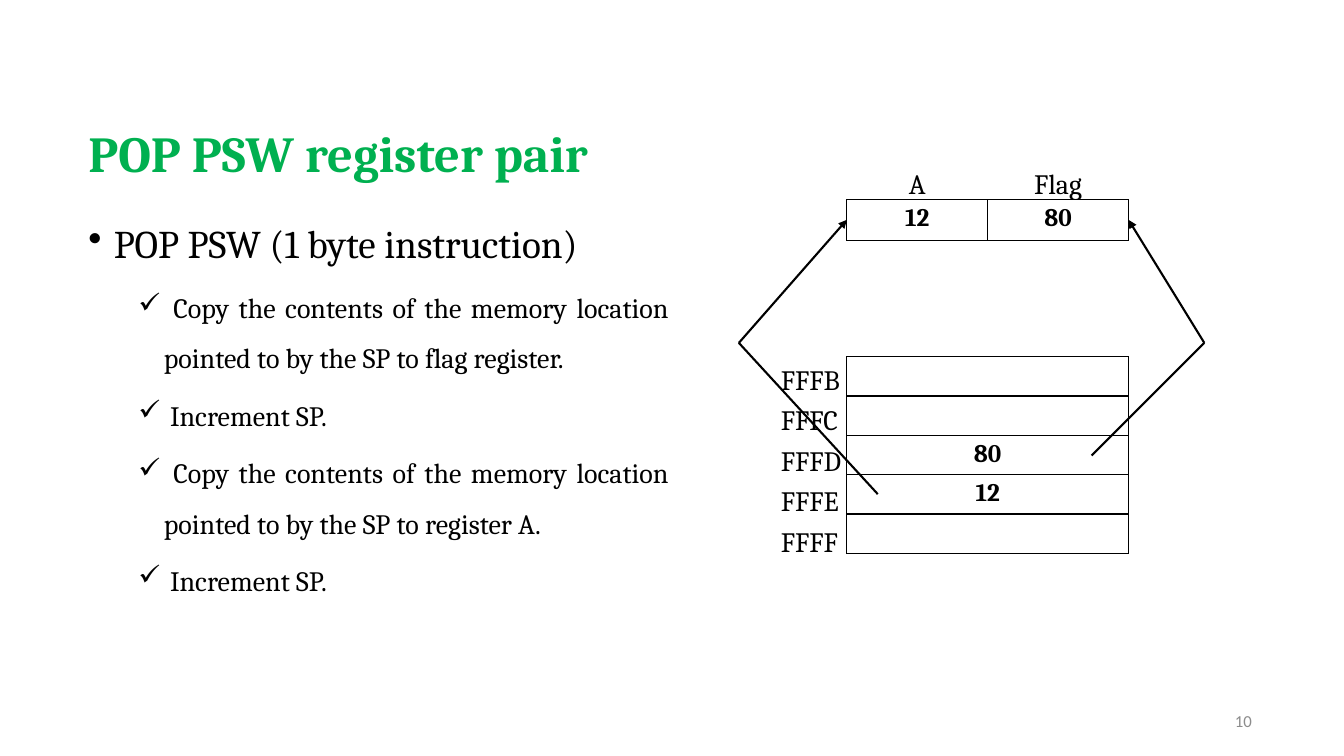
from pptx import Presentation
from pptx.dml.color import RGBColor
from pptx.enum.shapes import MSO_CONNECTOR
from pptx.enum.text import MSO_ANCHOR, PP_ALIGN
from pptx.oxml.ns import qn
from pptx.util import Cm, Pt
from lxml import etree

BLACK = RGBColor(0x00, 0x00, 0x00)
WHITE = RGBColor(0xFF, 0xFF, 0xFF)
GREEN = RGBColor(0x00, 0xB0, 0x50)
GRAY = RGBColor(0x8C, 0x8C, 0x8C)
LEFT, CENTER, RIGHT = PP_ALIGN.LEFT, PP_ALIGN.CENTER, PP_ALIGN.RIGHT
JUSTIFY = PP_ALIGN.JUSTIFY
MIDDLE = MSO_ANCHOR.MIDDLE
STRAIGHT = MSO_CONNECTOR.STRAIGHT

TITLE = "POP PSW register pair"
TOPIC = "POP PSW (1 byte instruction)"
STEPS = [
    " Copy the contents of the memory location pointed to by the SP to flag register.",
    " Increment SP.",
    " Copy the contents of the memory location pointed to by the SP to register A.",
    " Increment SP.",
]
MEMORY = {"FFFB": "", "FFFC": "", "FFFD": "80", "FFFE": "12", "FFFF": ""}
REGS = {"A": "12", "Flag": "80"}


def style(para, size, color=BLACK, bold=False, face="Cambria"):
    font = para.font
    font.name, font.size, font.bold = face, Pt(size), bold
    font.color.rgb = color


def bullet(para, char, margin):
    props = para._p.get_or_add_pPr()
    props.set("marL", str(Cm(margin)))
    props.set("indent", str(-Cm(0.64)))
    mark = etree.Element(qn("a:buChar"), char=char)
    first = props.find(qn("a:defRPr"))
    first.addprevious(mark)


def label(slide, text, x, y, w, h, align):
    """One line of text, centred in the height of its box."""
    frame = slide.shapes.add_textbox(Cm(x), Cm(y), Cm(w), Cm(h)).text_frame
    frame.word_wrap = True
    frame.vertical_anchor = MIDDLE
    frame.margin_left = frame.margin_right = 0
    frame.margin_top = frame.margin_bottom = 0
    para = frame.paragraphs[0]
    para.text = text
    para.alignment = align
    style(para, 20)
    return para


def grid(slide, rows, x, y, w, row_h):
    """A plain white table with thin black borders."""
    count = len(rows[0])
    table = slide.shapes.add_table(
        len(rows), count, Cm(x), Cm(y), Cm(w), Cm(row_h * len(rows))).table
    table.first_row = table.horz_banding = False
    for col in table.columns:
        col.width = Cm(w / count)
    for r, row in enumerate(rows):
        table.rows[r].height = Cm(row_h)
        for c, value in enumerate(row):
            cell = table.cell(r, c)
            cell.margin_top = cell.margin_bottom = Cm(0.1)
            para = cell.text_frame.paragraphs[0]
            para.text = value
            para.alignment = CENTER
            style(para, 18, bold=True)
            props = cell._tc.get_or_add_tcPr()
            for side in ("lnL", "lnR", "lnT", "lnB"):
                edge = etree.SubElement(props, qn("a:" + side), w=str(Pt(1)))
                fill = etree.SubElement(edge, qn("a:solidFill"))
                etree.SubElement(fill, qn("a:srgbClr"), val=str(BLACK))
            cell.fill.solid()
            cell.fill.fore_color.rgb = WHITE


def join(slide, start, end, arrow):
    line = slide.shapes.add_connector(
        STRAIGHT, *(Cm(v) for v in (*start, *end)))
    line.line.color.rgb = BLACK
    line.line.width = Pt(1.5)
    if arrow:
        etree.SubElement(line.line._get_or_add_ln(), qn("a:tailEnd"),
                         type="triangle")
    etree.SubElement(line._element.spPr, qn("a:effectLst"))


def notes(slide, x, y, w, h):
    """Heading, topic and ticked steps."""
    frame = slide.shapes.add_textbox(Cm(x), Cm(y), Cm(w), Cm(h)).text_frame
    frame.word_wrap = True
    for i, text in enumerate([TITLE, TOPIC, *STEPS]):
        para = frame.paragraphs[0] if i == 0 else frame.add_paragraph()
        para.text = text
        para.alignment = JUSTIFY
        para.line_spacing = 1.5
        para.space_before = Pt(10 if i < 2 else 5)
        if i == 0:
            style(para, 36, GREEN, True)
        elif i == 1:
            style(para, 28)
            bullet(para, "•", 0.64)
        else:
            style(para, 20)
            bullet(para, "✓", 1.9)


def diagram(slide, x, y):
    """Registers above, memory below, arrows showing the two copies."""
    left, wide, tall = x + 2.72, 7.1, 0.82
    col = wide / len(REGS)

    # Registers
    for i, name in enumerate(REGS):
        label(slide, name, left + i * col, y, col, tall, CENTER)
    grid(slide, [list(REGS.values())], left, y + 0.83, wide, 1.04)

    # Memory
    for i, name in enumerate(MEMORY):
        label(slide, name, x + 1.06, y + 4.94 + i * 1.02, 1.6, tall, LEFT)
    grid(slide, [[value] for value in MEMORY.values()],
         left, y + 4.79, wide, 0.99)

    # Arrows: memory cell, elbow, register
    routes = [
        [(3.5, 8.25), (0, 4.44), (2.72, 1.34)],
        [(8.89, 7.28), (11.73, 4.44), (9.82, 1.34)],
    ]
    for route in routes:
        start, elbow, end = [(x + dx, y + dy) for dx, dy in route]
        join(slide, start, elbow, False)
        join(slide, elbow, end, True)


def main():
    deck = Presentation()
    deck.slide_width, deck.slide_height = Cm(33.87), Cm(19.05)
    slide = deck.slides.add_slide(deck.slide_layouts[6])
    notes(slide, 1.98, 2.18, 15.13, 14.99)
    diagram(slide, 18.62, 4.2)
    # Slide number
    number = label(slide, "10", 23.93, 17.66, 7.62, 1.01, RIGHT)
    style(number, 12, GRAY, face="Calibri")
    deck.save("out.pptx")


if __name__ == "__main__":
    main()
